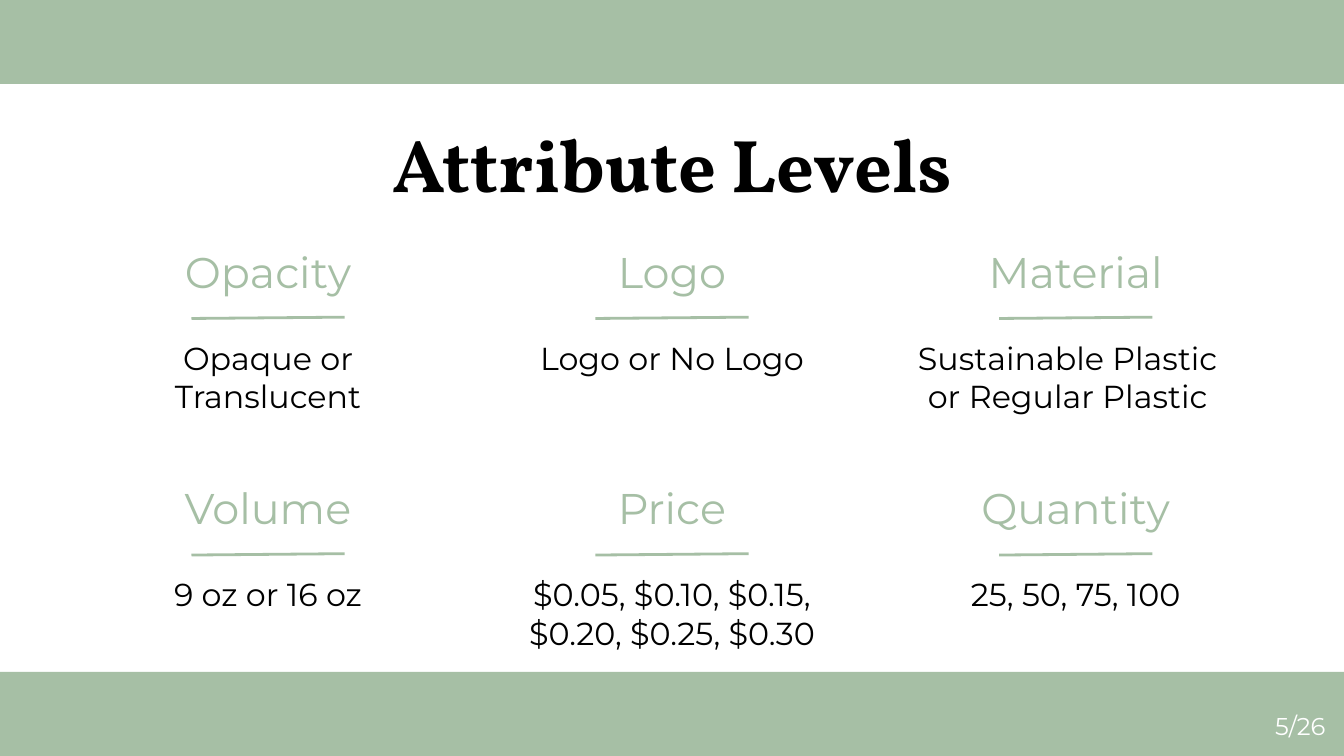
import pptx
import pptx.dml.color
import pptx.enum.shapes
import pptx.enum.text
import pptx.oxml
import pptx.util
from pptx.util import Inches

GREEN = "A6BFA5"
BLACK = "000000"
WHITE = "FFFFFF"
CENTER = pptx.enum.text.PP_ALIGN.CENTER
RIGHT = pptx.enum.text.PP_ALIGN.RIGHT
TOP = pptx.enum.text.MSO_ANCHOR.TOP
BOTTOM = pptx.enum.text.MSO_ANCHOR.BOTTOM

SLIDE_WIDTH = 10
SLIDE_HEIGHT = SLIDE_WIDTH * 9 / 16
BAR_HEIGHT = SLIDE_HEIGHT / 9
MARGIN = 0.73
CONTENT_WIDTH = SLIDE_WIDTH - 2 * MARGIN
CARD_WIDTH = 2.53
ROW_TOPS = (1.74, 3.5)
HEADING_HEIGHT = 0.57
RULE_WIDTH, RULE_TOP, RULE_RISE = 1.14, 0.62, 0.01
BODY_TOP, BODY_HEIGHT = 0.68, 0.95

# Each entry: heading, body, body width, shift of the body from the card's centre
ATTRIBUTES = (
    (
        ("Opacity", "Opaque or Translucent", 2.16, 0),
        ("Logo", "Logo or No Logo", 2.34, 0),
        ("Material", "Sustainable Plastic or Regular Plastic", 2.65, -0.06),
    ),
    (
        ("Volume", "9 oz or 16 oz", 2.53, 0),
        ("Price", "$0.05, $0.10, $0.15, $0.20, $0.25, $0.30", 2.48, 0),
        ("Quantity", "25, 50, 75, 100", 2.53, 0),
    ),
)


def color(value):
    return pptx.dml.color.RGBColor.from_string(value)


def write(shape, text, size, text_color, font="Montserrat", bold=False,
          align=CENTER, anchor=TOP):
    frame = shape.text_frame
    frame.word_wrap = True
    frame.auto_size = pptx.enum.text.MSO_AUTO_SIZE.NONE
    frame.vertical_anchor = anchor
    frame.margin_left = frame.margin_right = Inches(0.1)
    frame.margin_top = frame.margin_bottom = Inches(0.1)
    paragraph = frame.paragraphs[0]
    paragraph.alignment = align
    run = paragraph.add_run()
    run.text = text
    run.font.name = font
    run.font.size = pptx.util.Pt(size)
    run.font.bold = bold
    run.font.color.rgb = color(text_color)


def add_text(slide, left, top, width, height, text, size, text_color, **style):
    box = slide.shapes.add_textbox(
        Inches(left), Inches(top), Inches(width), Inches(height))
    write(box, text, size, text_color, **style)


def add_bar(slide, left, top, width, height):
    bar = slide.shapes.add_shape(
        pptx.enum.shapes.MSO_SHAPE.RECTANGLE,
        Inches(left), Inches(top), Inches(width), Inches(height))
    bar.shadow.inherit = False
    bar.fill.solid()
    bar.fill.fore_color.rgb = color(GREEN)
    bar.line.fill.background()


def add_rule(slide, left, top, width):
    rule = slide.shapes.add_connector(
        pptx.enum.shapes.MSO_CONNECTOR.STRAIGHT,
        Inches(left), Inches(top + RULE_RISE), Inches(left + width), Inches(top))
    rule.line.color.rgb = color(GREEN)
    rule.line.width = pptx.util.Pt(1.5)
    rule._element.spPr.append(pptx.oxml.parse_xml(
        '<a:effectLst xmlns:a="http://schemas.openxmlformats.org/drawingml/2006/main"/>'))


def place_title(slide, left, top, width, height):
    title = slide.shapes.title
    title.left, title.top = Inches(left), Inches(top)
    title.width, title.height = Inches(width), Inches(height)
    write(title, "Attribute Levels", 40, BLACK, font="Vollkorn", bold=True)


def add_card(slide, left, top, width, attribute):
    heading, body, body_width, shift = attribute
    center = left + width / 2
    add_text(slide, left, top, width, HEADING_HEIGHT, heading, 23, GREEN, anchor=BOTTOM)
    add_rule(slide, center - RULE_WIDTH / 2, top + RULE_TOP, RULE_WIDTH)
    add_text(slide, center + shift - body_width / 2, top + BODY_TOP,
             body_width, BODY_HEIGHT, body, 17, BLACK)


def add_cards(slide, left, width, row_tops):
    for top, attributes in zip(row_tops, ATTRIBUTES):
        step = (width - CARD_WIDTH) / (len(attributes) - 1)
        for column, attribute in enumerate(attributes):
            add_card(slide, left + column * step, top, CARD_WIDTH, attribute)


def main():
    presentation = pptx.Presentation()
    presentation.slide_width = Inches(SLIDE_WIDTH)
    presentation.slide_height = Inches(SLIDE_HEIGHT)
    slide = presentation.slides.add_slide(presentation.slide_layouts[5])
    for top in (0, SLIDE_HEIGHT - BAR_HEIGHT):
        add_bar(slide, 0, top, SLIDE_WIDTH, BAR_HEIGHT)
    place_title(slide, MARGIN, 0.78, CONTENT_WIDTH, 0.7)
    add_cards(slide, MARGIN, CONTENT_WIDTH, ROW_TOPS)
    add_text(slide, 9.36, 5.19, 0.6, 0.43, "5/26", 13, WHITE, align=RIGHT)
    presentation.save("out.pptx")


if __name__ == "__main__":
    main()
